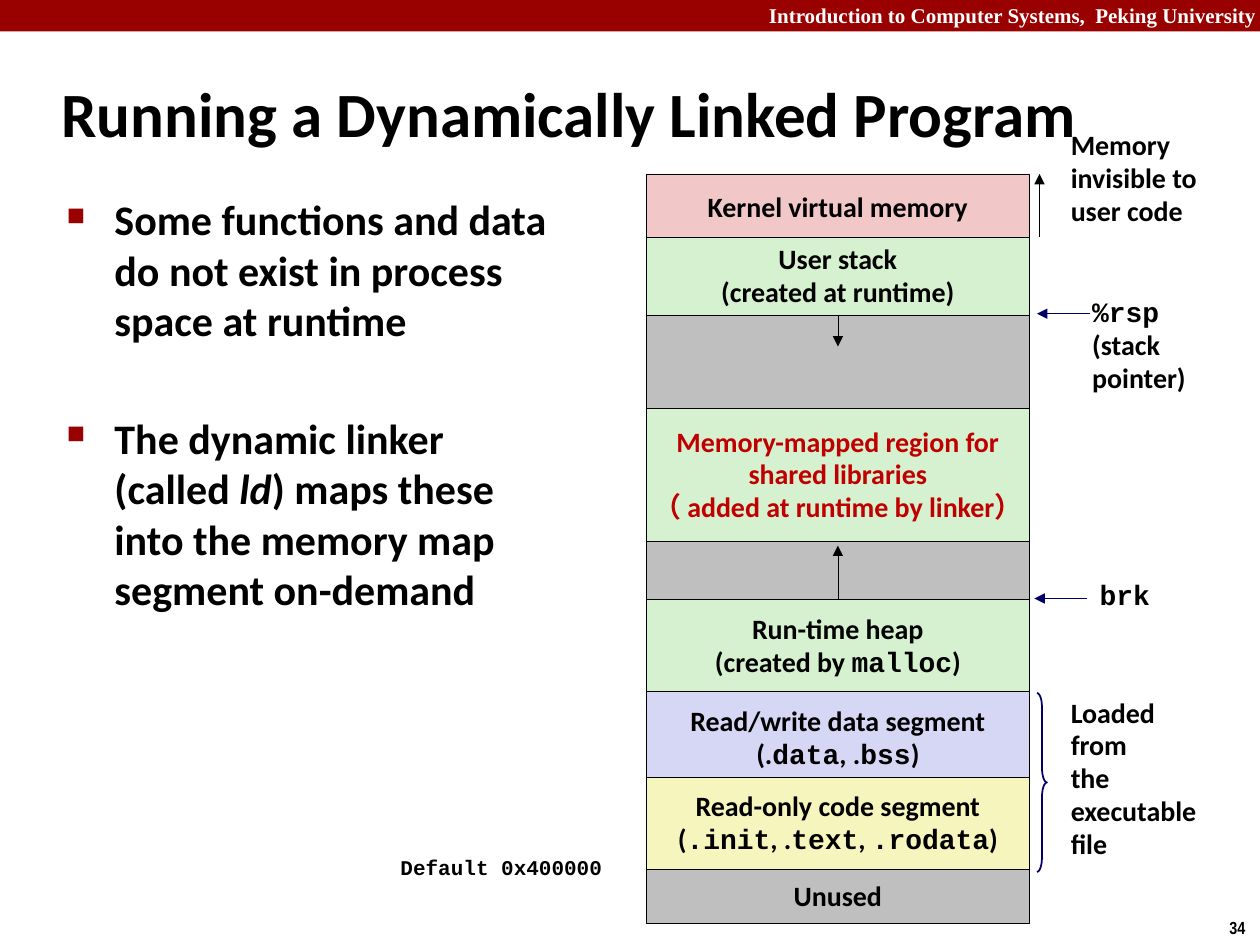
from lxml import etree
from pptx import Presentation
from pptx import util as u
from pptx.dml.color import RGBColor
from pptx.enum import shapes, text
from pptx.oxml.ns import qn

PX = 9144  # EMU per px, 100 px to the inch
BLACK = RGBColor(0x00, 0x00, 0x00)
WHITE = RGBColor(0xFF, 0xFF, 0xFF)
CRIMSON = RGBColor(0x99, 0x00, 0x00)
RED = RGBColor(0xC0, 0x00, 0x00)
NAVY = RGBColor(0x00, 0x00, 0x66)
PINK = RGBColor(0xF1, 0xC7, 0xC7)
GRAY = RGBColor(0xBF, 0xBF, 0xBF)
GREEN = RGBColor(0xD5, 0xF1, 0xCF)
LILAC = RGBColor(0xD6, 0xD6, 0xF5)
YELLOW = RGBColor(0xF6, 0xF5, 0xBD)

STACK_LEFT, STACK_WIDTH = 513, 304
STACK_MIDDLE = STACK_LEFT + STACK_WIDTH // 2

# name, top, height, fill, text colour, lines; text between backticks is code
REGIONS = [
    ("kernel", 138, 53, PINK, BLACK, ["Kernel virtual memory"]),
    ("upper gap", 225, 99, GRAY, BLACK, []),
    ("lower gap", 397, 79, GRAY, BLACK, []),
    ("heap", 476, 73, GREEN, BLACK, ["Run-time heap", "(created by `malloc`)"]),
    ("stack", 188, 62, GREEN, BLACK, ["User stack", "(created at runtime)"]),
    ("unused", 690, 43, GRAY, BLACK, ["Unused"]),
    ("data", 549, 73, LILAC, BLACK,
     ["Read/write data segment", "(.`data`, .`bss`)"]),
    ("code", 617, 73, YELLOW, BLACK,
     ["Read-only code segment", "(`.init`, .`text`, `.rodata`)"]),
    ("shared", 324, 106, GREEN, RED,
     ["Memory-mapped region for", "shared libraries",
      "（ added at runtime by linker）"]),
]

# left, top, width, height, size, wrap, lines
LABELS = [
    (857, 231, 95, 88, 16, False, ["`%rsp`", "(stack", "pointer)"]),
    (840, 98, 144, 90, 16, True, ["Memory", "invisible to user code"]),
    (863, 456, 60, 36, 16, False, ["`brk`"]),
    (840, 548, 126, 142, 16, False,
     ["Loaded", "from", "the", "executable", "file"]),
    (308, 675, 291, 30, 12, True, ["`Default 0x400000`"]),
]

BULLETS = [
    "Some functions and data\ndo not exist in process \nspace at runtime",
    "The dynamic linker\n(called `ld`) maps these\ninto the memory map\n"
    "segment on-demand",
]


class Painter:
    """Holds the fonts, the hairline width and the current page."""

    font, code_font, hairline = "Calibri", "Courier New", u.Pt(0.25)

    def __init__(self, page):
        self.shapes = page.shapes

    def spans(self, para, line, size, color, font=None, italic=False):
        """Adds runs; backticks switch to code, or to italics if asked."""
        for index, part in enumerate(line.split("`")):
            marked = index % 2 == 1
            for number, piece in enumerate(part.split("\n")):
                if number:
                    para.add_line_break()
                if not piece:
                    continue
                span = para.add_run()
                span.text = piece
                span.font.name = (self.code_font if marked and not italic
                                  else font or self.font)
                span.font.size = u.Pt(size)
                span.font.bold = True
                span.font.italic = marked and italic
                span.font.color.rgb = color

    def fill_text(self, frame, lines, size, color=BLACK, font=None,
                  align=text.PP_ALIGN.LEFT, tight=True, wrap=True):
        frame.word_wrap = wrap
        for index, line in enumerate(lines):
            para = frame.add_paragraph() if index else frame.paragraphs[0]
            para.alignment = align
            if tight:
                para.line_spacing = 0.94 if line.startswith("`") else 0.98
            self.spans(para, line, size, color, font)

    def label(self, left, top, width, height, lines, size, **style):
        box = self.shapes.add_textbox(left * PX, top * PX,
                                      width * PX, height * PX)
        self.fill_text(box.text_frame, lines, size, **style)
        return box

    def block(self, left, top, width, height, fill, outline=None):
        box = self.shapes.add_shape(shapes.MSO_SHAPE.RECTANGLE, left * PX,
                                    top * PX, width * PX, height * PX)
        box.shadow.inherit = False
        box.fill.solid()
        box.fill.fore_color.rgb = fill
        if outline is None:
            box.line.fill.background()
        else:
            box.line.color.rgb = outline
            box.line.width = self.hairline
        return box

    def region(self, top, height, fill, color, lines):
        box = self.block(STACK_LEFT, top, STACK_WIDTH, height, fill, BLACK)
        box.text_frame.vertical_anchor = text.MSO_ANCHOR.MIDDLE
        self.fill_text(box.text_frame, lines, 16, color,
                       align=text.PP_ALIGN.CENTER, wrap=False)
        return box

    def arrow(self, start, end, color=BLACK):
        line = self.shapes.add_connector(shapes.MSO_CONNECTOR.STRAIGHT,
                                         *(value * PX for value in start + end))
        line.line.color.rgb = color
        line.line.width = self.hairline
        outline = line._element.spPr.find(qn("a:ln"))
        etree.SubElement(outline, qn("a:tailEnd"), type="triangle")
        etree.SubElement(line._element.spPr, qn("a:effectLst"))
        return line

    def brace(self, left, top, width, height, color):
        brace = self.shapes.add_shape(shapes.MSO_SHAPE.RIGHT_BRACE, left * PX,
                                      top * PX, width * PX, height * PX)
        brace.shadow.inherit = False
        brace.adjustments[0] = 1.417
        brace.fill.background()
        brace.line.color.rgb = color
        brace.line.width = u.Pt(1)

    def bullets(self, left, top, width, height, items):
        frame = self.label(left, top, width, height, [], 24).text_frame
        for index, item in enumerate(items):
            para = frame.add_paragraph() if index else frame.paragraphs[0]
            if index:
                para.space_before = u.Pt(38.5)
            props = para._p.get_or_add_pPr()
            props.set("marL", str(38 * PX))
            props.set("indent", str(-38 * PX))
            color = etree.SubElement(props, qn("a:buClr"))
            etree.SubElement(color, qn("a:srgbClr"), val=str(CRIMSON))
            etree.SubElement(props, qn("a:buSzPct"), val="60000")
            etree.SubElement(props, qn("a:buChar"), char="■")
            self.spans(para, item, 24, BLACK, italic=True)


def main():
    deck = Presentation()
    deck.slide_width, deck.slide_height = 1000 * PX, 750 * PX
    painter = Painter(deck.slides.add_slide(deck.slide_layouts[6]))

    painter.block(0, 0, 1000, 25, CRIMSON)
    painter.label(600, -3, 407, 30,
                  ["Introduction to Computer Systems,  Peking University "], 12,
                  color=WHITE, font="Times New Roman",
                  align=text.PP_ALIGN.RIGHT, tight=False)
    painter.label(966, 723, 34, 27, ["34"], 10, font="Arial Narrow",
                  tight=False, wrap=False)
    title = painter.label(39, 48, 830, 83,
                          ["Running a Dynamically Linked Program"], 36,
                          tight=False)
    title.text_frame.vertical_anchor = text.MSO_ANCHOR.MIDDLE
    painter.bullets(43, 149, 515, 544, BULLETS)

    regions = {name: painter.region(*rest) for name, *rest in REGIONS}
    heap_growth = painter.arrow((STACK_MIDDLE, 476), (STACK_MIDDLE, 433))
    heap_growth.begin_connect(regions["heap"], 0)
    stack_growth = painter.arrow((STACK_MIDDLE, 250), (STACK_MIDDLE, 275))
    stack_growth.begin_connect(regions["stack"], 2)
    painter.arrow((825, 188), (825, 138))
    painter.arrow((865, 249), (823, 249), NAVY)
    painter.arrow((863, 475), (821, 475), NAVY)
    painter.brace(823, 550, 8, 142, NAVY)

    for left, top, width, height, size, wrap, lines in LABELS:
        painter.label(left, top, width, height, lines, size, wrap=wrap)

    deck.save("out.pptx")


if __name__ == "__main__":
    main()
